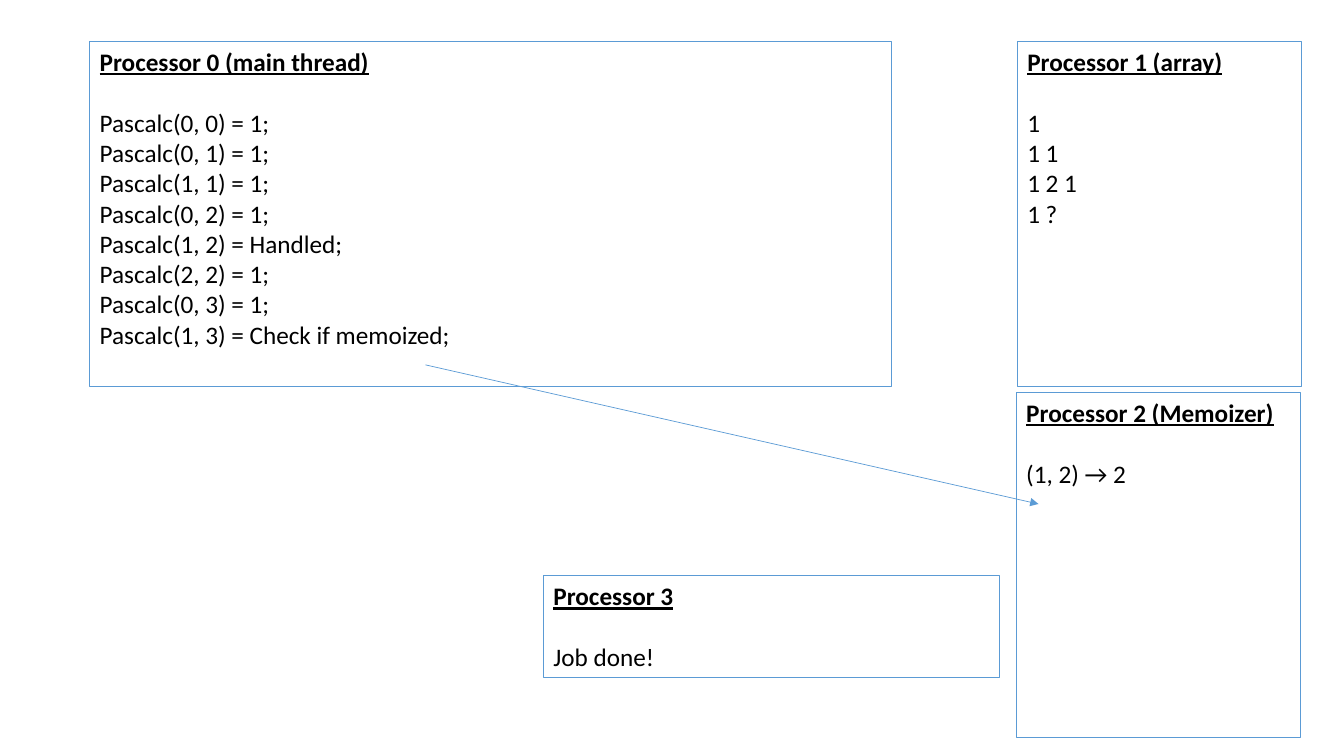
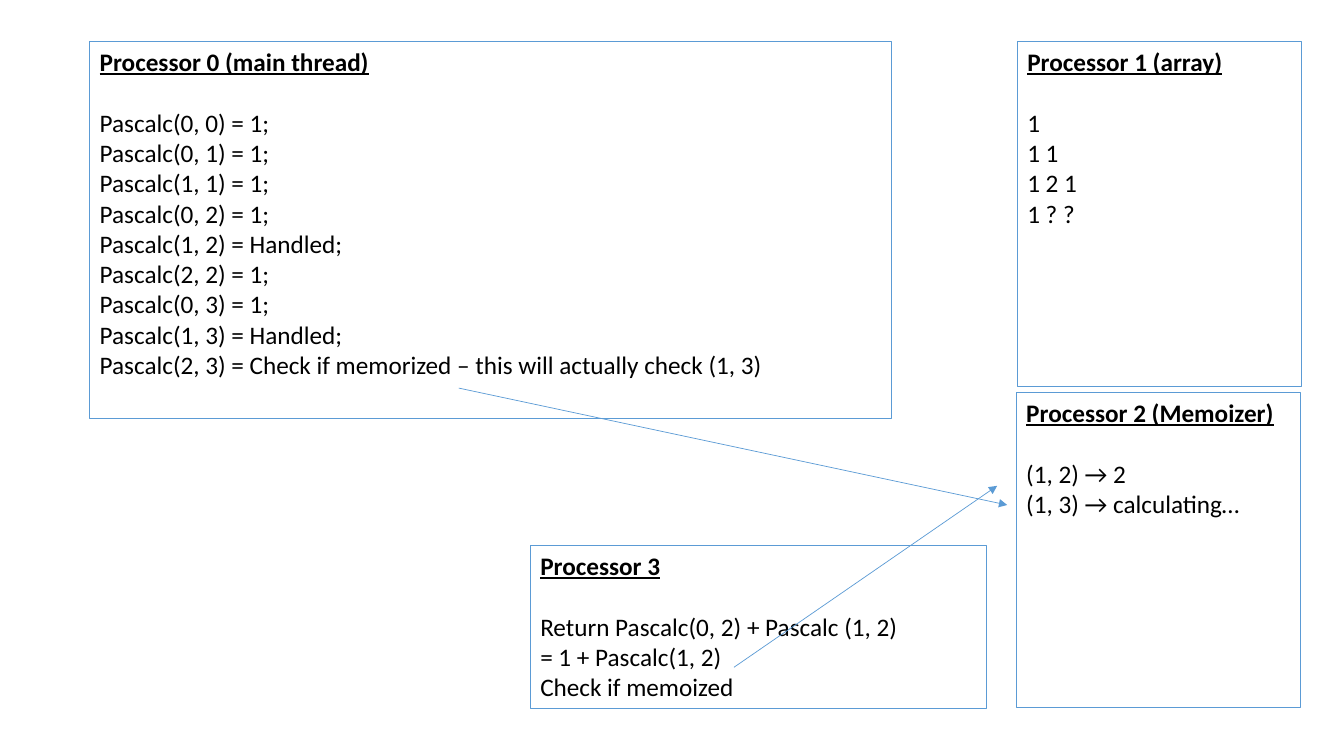
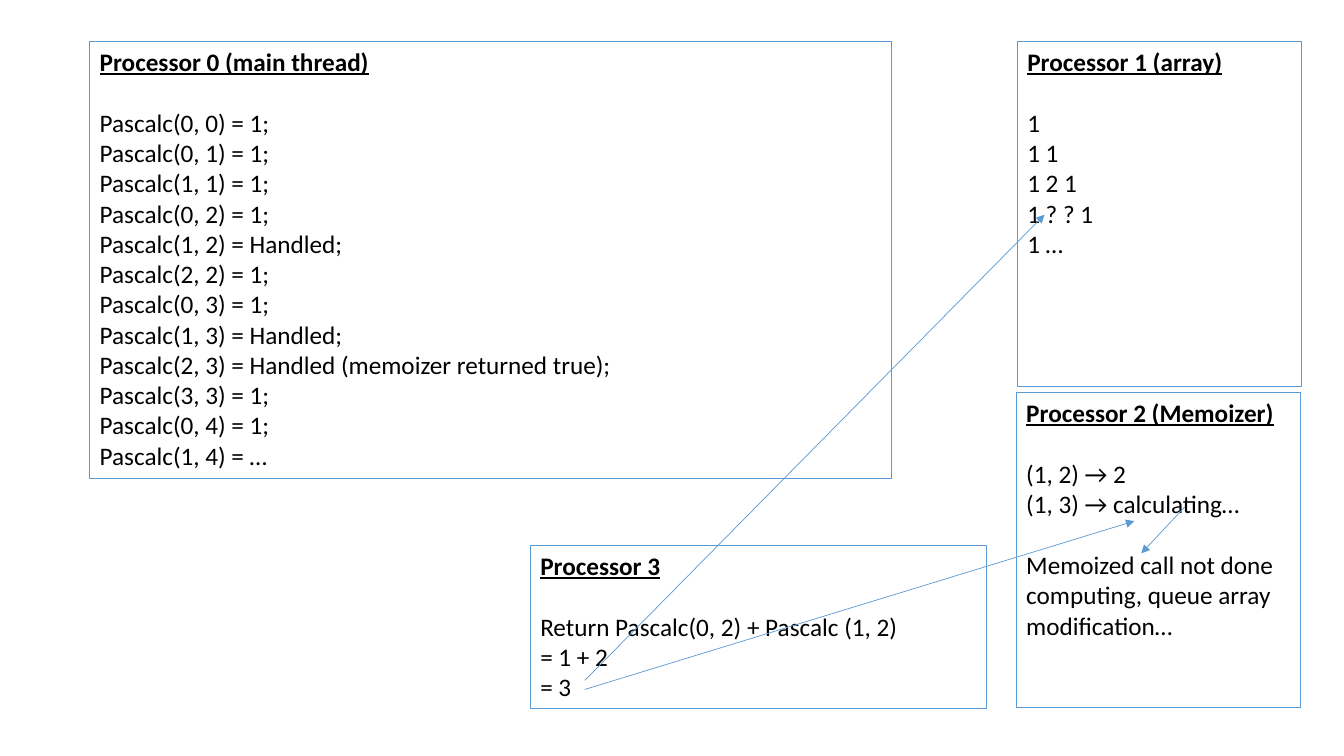
from dataclasses import dataclass

from lxml.etree import SubElement
from pptx import Presentation
from pptx.dml.color import RGBColor
from pptx.enum.shapes import MSO_CONNECTOR as Connector, MSO_SHAPE as Shape
from pptx.enum.text import MSO_ANCHOR as Anchor, PP_ALIGN as Align
from pptx.oxml.ns import qn
from pptx.util import Pt

EMU_PER_PX = 9144  # 100 px to the inch


@dataclass(frozen=True)
class Theme:
    font: str = "Calibri"
    text: RGBColor = RGBColor(0x00, 0x00, 0x00)
    accent: RGBColor = RGBColor(0x5B, 0x9B, 0xD5)
    text_size: int = 18
    group_gap: int = 22
    box_line: float = 0.75
    arrow_line: float = 0.5


def px(*lengths):
    return [length * EMU_PER_PX for length in lengths]


class Deck:
    def __init__(self, theme):
        self.theme = theme
        self.presentation = Presentation()
        self.presentation.slide_width, self.presentation.slide_height = px(1333, 750)
        self.slide = None

    def new_slide(self):
        blank_layout = self.presentation.slide_layouts[6]
        self.slide = self.presentation.slides.add_slide(blank_layout)

    def processor(self, heading, box, *groups):
        """Draw an outlined box: a heading, then groups of lines one line apart."""
        theme = self.theme
        shape = self.slide.shapes.add_shape(Shape.RECTANGLE, *px(*box))
        shape.shadow.inherit = False
        shape.fill.background()
        shape.line.color.rgb = theme.accent
        shape.line.width = Pt(theme.box_line)

        text_frame = shape.text_frame
        text_frame.word_wrap = True
        text_frame.vertical_anchor = Anchor.TOP
        text_frame.text = "\n".join([heading, *(line for group in groups for line in group)])
        group_starts = set()
        position = 1
        for group in groups:
            group_starts.add(position)
            position += len(group)

        for index, paragraph in enumerate(text_frame.paragraphs):
            paragraph.alignment = Align.LEFT
            if index in group_starts:
                paragraph.space_before = Pt(theme.group_gap)
            for run in paragraph.runs:
                font = run.font
                font.name = theme.font
                font.size = Pt(theme.text_size)
                font.color.rgb = theme.text
                font.bold = font.underline = index == 0

    def arrow(self, start, end):
        connector = self.slide.shapes.add_connector(Connector.STRAIGHT, *px(*start, *end))
        connector.line.color.rgb = self.theme.accent
        connector.line.width = Pt(self.theme.arrow_line)
        properties = connector.element.spPr
        SubElement(properties.find(qn("a:ln")), qn("a:tailEnd"), type="triangle")
        SubElement(properties, qn("a:effectLst"))

    def step(self, calls, main_height, rows, memo_groups, memo_height, job, job_box, arrows):
        """Draw one moment of the computation on a new slide."""
        self.new_slide()
        self.processor("Processor 0 (main thread)", (89, 41, 795, main_height), calls)
        self.processor("Processor 1 (array)", (1009, 41, 282, 343), rows)
        self.processor("Processor 2 (Memoizer)", (1008, 389, 282, memo_height), *memo_groups)
        self.processor("Processor 3", job_box, job)
        for start, end in arrows:
            self.arrow(start, end)


def call(k, n, result="1;"):
    return f"Pascalc({k}, {n}) = {result}"


def main():
    first_calls = [call(0, 0), call(0, 1), call(1, 1), call(0, 2),
                   call(1, 2, "Handled;"), call(2, 2), call(0, 3)]
    handled_calls = first_calls + [call(1, 3, "Handled;")]
    first_rows = ["1", "1 1", "1 2 1"]
    first_memo = ["(1, 2) → 2"]
    pending_memo = first_memo + ["(1, 3) → calculating…"]
    job_sum = "Return Pascalc(0, 2) + Pascalc (1, 2)"
    sum_box = (526, 541, 452, 162)

    deck = Deck(Theme())
    deck.step(
        calls=first_calls + [call(1, 3, "Check if memoized;")], main_height=343,
        rows=first_rows + ["1 ?"],
        memo_groups=[first_memo], memo_height=343,
        job=["Job done!"], job_box=(539, 571, 452, 101),
        arrows=[((422, 362), (1030, 500))],
    )
    deck.step(
        calls=handled_calls + [
            call(2, 3, "Check if memorized – this will actually check (1, 3)")],
        main_height=374,
        rows=first_rows + ["1 ? ?"],
        memo_groups=[pending_memo], memo_height=313,
        job=[job_sum, "= 1 + Pascalc(1, 2)", "Check if memoized"], job_box=sum_box,
        arrows=[((455, 385), (999, 501)), ((728, 662), (989, 482))],
    )
    deck.step(
        calls=handled_calls + [call(2, 3, "Handled (memoizer returned true);"),
                               call(3, 3), call(0, 4), call(1, 4, "…")],
        main_height=434,
        rows=first_rows + ["1 ? ? 1", "1 …"],
        memo_groups=[pending_memo,
                     ["Memoized call not done computing, queue array modification…"]],
        memo_height=313,
        job=[job_sum, "= 1 + 2", "= 3"], job_box=sum_box,
        arrows=[((580, 675), (1036, 213)), ((580, 684), (1125, 517)),
                ((1175, 503), (1132, 549))],
    )
    deck.presentation.save("out.pptx")


if __name__ == "__main__":
    main()
